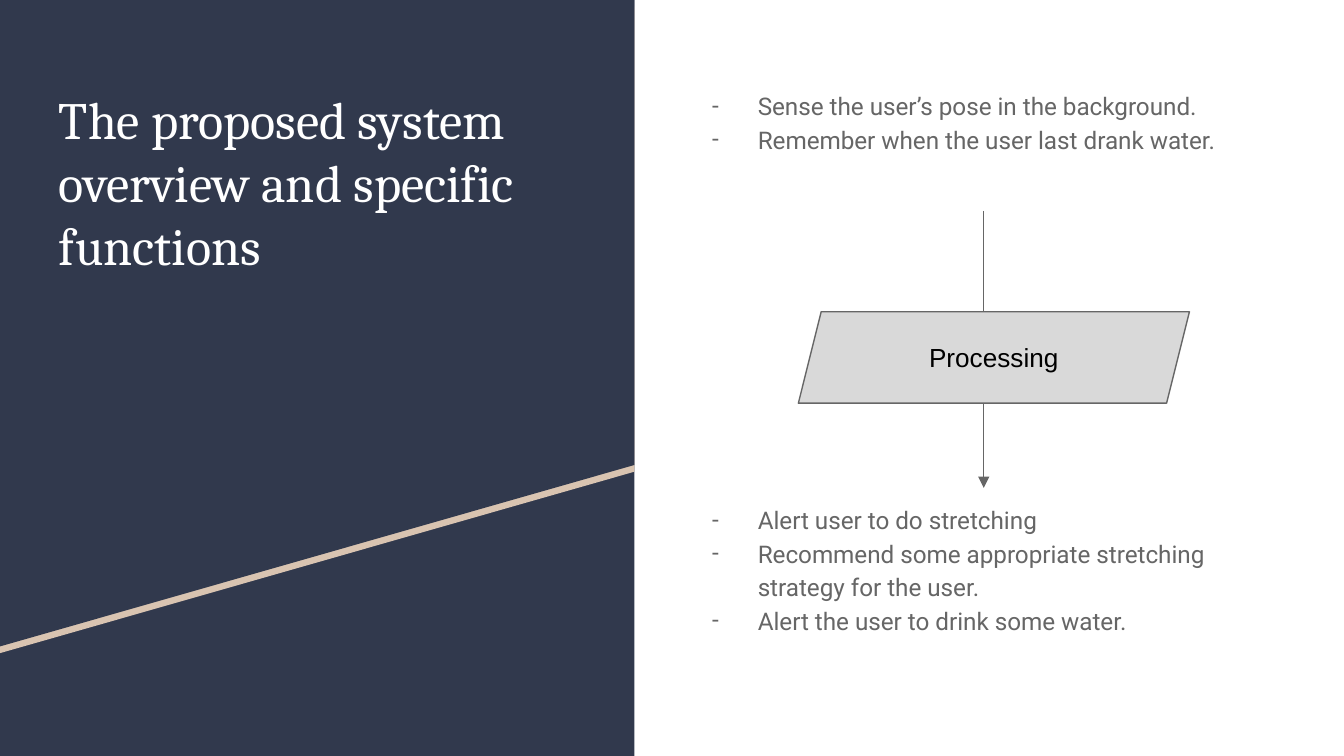
"""Build the slide on the proposed system overview and its functions."""
from lxml import etree
from pptx import Presentation
from pptx.dml.color import RGBColor
from pptx.enum import shapes as sh, text as tx
from pptx.oxml import ns
from pptx.util import Inches, Pt

NAVY = RGBColor(0x31, 0x39, 0x4D)
SAND = RGBColor(0xD9, 0xC4, 0xB1)
GRAY = RGBColor(0x66, 0x66, 0x66)
PALE = RGBColor(0xD9, 0xD9, 0xD9)
WHITE = RGBColor(0xFF, 0xFF, 0xFF)
BLACK = RGBColor(0, 0, 0)


def write(frame, lines, font, size, color, align=tx.PP_ALIGN.LEFT,
          anchor=tx.MSO_ANCHOR.TOP, space=1.0, bullet=None):
    frame.word_wrap = True
    frame.vertical_anchor = anchor
    frame.margin_left = frame.margin_right = Inches(0.1)
    frame.margin_top = frame.margin_bottom = Inches(0.1)
    for i, line in enumerate(lines):
        para = frame.paragraphs[0] if i == 0 else frame.add_paragraph()
        para.alignment = align
        para.line_spacing = space
        run = para.add_run()
        run.text = line
        run.font.name = font
        run.font.size = Pt(size)
        run.font.color.rgb = color
        if bullet:
            props = para._p.get_or_add_pPr()
            props.set("marL", str(Inches(0.5)))
            props.set("indent", str(Inches(-0.34)))
            tint = etree.SubElement(props, ns.qn("a:buClr"))
            etree.SubElement(tint, ns.qn("a:srgbClr"), val=str(color))
            etree.SubElement(props, ns.qn("a:buSzPts"), val=str(size * 100))
            etree.SubElement(props, ns.qn("a:buFont"), typeface=font)
            etree.SubElement(props, ns.qn("a:buChar"), char=bullet)


def paint(shape, fill, line=None):
    shape.shadow.inherit = False
    shape.fill.solid()
    shape.fill.fore_color.rgb = fill
    if line is None:
        shape.line.fill.background()
    else:
        shape.line.color.rgb = line
        shape.line.width = Pt(0.75)


deck = Presentation()
deck.slide_width = Inches(10)
deck.slide_height = Inches(10 * 9 / 16)
slide = deck.slides.add_slide(deck.slide_layouts[6])
items = slide.shapes

panel = items.add_shape(sh.MSO_SHAPE.RECTANGLE, 0, 0, Inches(4.72), deck.slide_height)
paint(panel, NAVY)
for top, color in ((0.05, SAND), (0, NAVY)):
    pen = items.build_freeform(0, Inches(top))
    pen.add_line_segments([(Inches(x), Inches(top + y)) for x, y in
                           ((4.72, 0), (4.72, 3.46), (0, 4.81))])
    paint(pen.convert_to_shape(), color)

title = items.add_textbox(Inches(0.34), Inches(0.55), Inches(4.05), Inches(2.74))
write(title.text_frame, ["The proposed system overview and specific functions"],
      "Cambria", 28, WHITE)

inputs = ["Sense the user’s pose in the background.",
          "Remember when the user last drank water."]
outputs = ["Alert user to do stretching",
           "Recommend some appropriate stretching strategy for the user.",
           "Alert the user to drink some water."]
for top, height, lines in ((0.55, 1.02, inputs), (3.63, 1.18, outputs)):
    box = items.add_textbox(Inches(5.04), Inches(top), Inches(4.56), Inches(height))
    write(box.text_frame, lines, "Roboto", 13, GRAY, space=1.15, bullet="-")

arrow = items.add_connector(sh.MSO_CONNECTOR.STRAIGHT, Inches(7.32), Inches(1.57),
                            Inches(7.32), Inches(3.63))
arrow.line.color.rgb = GRAY
arrow.line.width = Pt(0.75)
props = arrow._element.spPr
etree.SubElement(props.find(ns.qn("a:ln")), ns.qn("a:tailEnd"), type="triangle")
etree.SubElement(props, ns.qn("a:effectLst"))

step = items.add_shape(sh.MSO_SHAPE.PARALLELOGRAM, Inches(5.94), Inches(2.32),
                       Inches(2.91), Inches(0.68))
step.adjustments[0] = 0.25
paint(step, PALE, GRAY)
write(step.text_frame, ["Processing"], "Arial", 14, BLACK,
      align=tx.PP_ALIGN.CENTER, anchor=tx.MSO_ANCHOR.MIDDLE)

deck.save("out.pptx")
